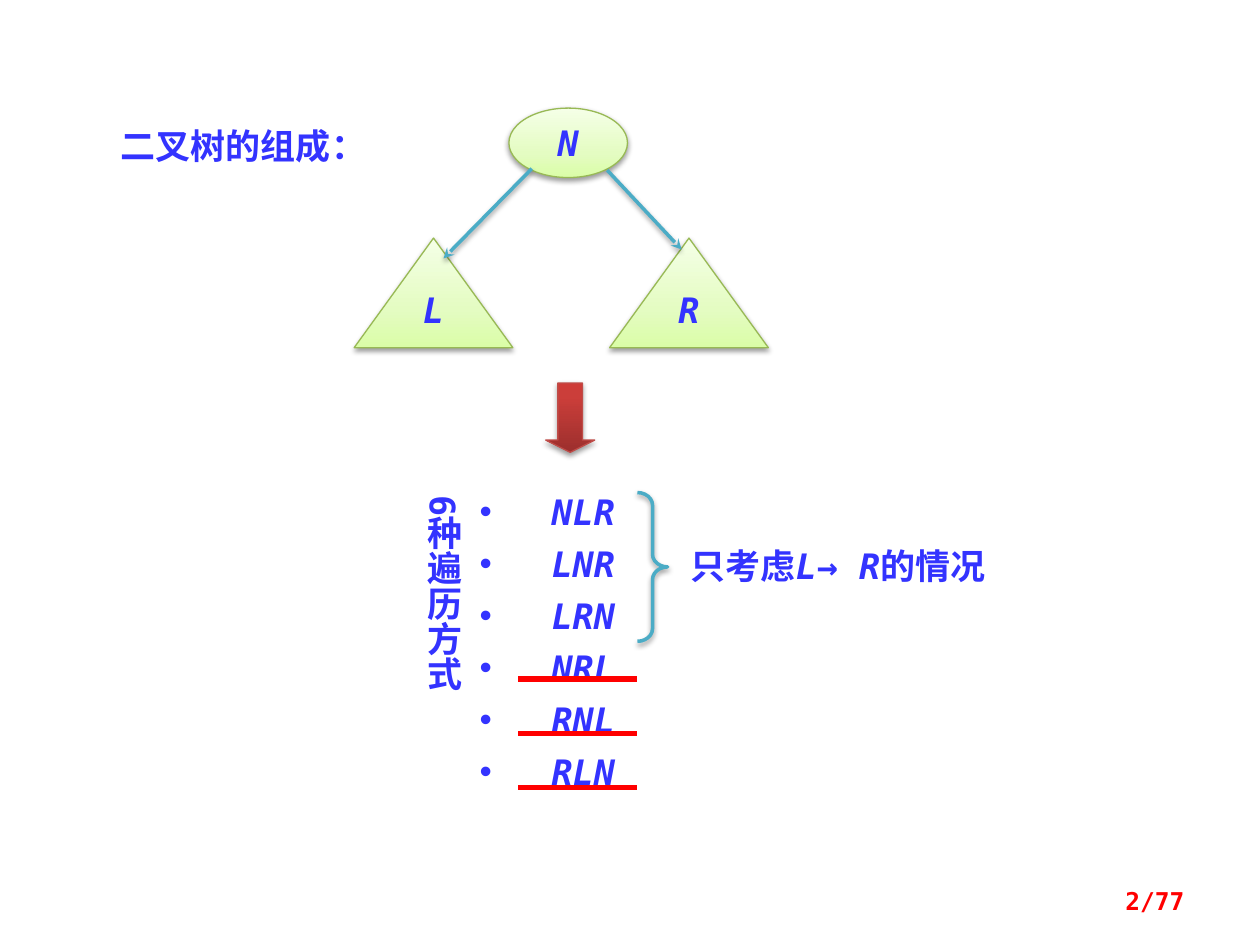
from dataclasses import dataclass

from lxml import etree
from pptx import Presentation
from pptx import util as u
from pptx.dml.color import RGBColor
from pptx.enum import shapes, text
from pptx.oxml.ns import qn

Kind = shapes.MSO_SHAPE
Side = text.PP_ALIGN
MONO = "DejaVu Sans Mono"
INK = {
    "blue": "3333FF", "red": "FF0000", "teal": "4BACC6",
    "leaf": "98B955", "rust": "BF4C48", "black": "000000",
}
# Gradient stops from bottom to top: percent and colour
FADE = {
    "leaf": ((0, "DAFDA7"), (35, "E4FCC2"), (100, "F5FFE7")),
    "rust": ((0, "9C2F2D"), (80, "CB3E3A"), (100, "CE3B37")),
}


@dataclass
class Form:
    kind: Kind
    box: tuple
    ink: str
    label: str = ""
    lead: float = 0
    adj: tuple = ()
    width: float = 0.75


@dataclass
class Line:
    start: tuple
    end: tuple
    ink: str
    width: float
    arrow: bool = False


FORMS = [
    Form(Kind.OVAL, (10.26, 2.18, 2.39, 1.4), "leaf", "N"),
    Form(Kind.ISOSCELES_TRIANGLE, (7.14, 4.8, 3.2, 2.21), "leaf", "L", 12),
    Form(Kind.ISOSCELES_TRIANGLE, (12.29, 4.8, 3.2, 2.21), "leaf", "R", 12),
    Form(Kind.DOWN_ARROW, (11, 7.72, 0.99, 1.4), "rust", adj=(0.5, 0.25)),
    Form(Kind.RIGHT_BRACE, (12.85, 9.93, 0.61, 3), "teal", adj=(0.417, 0.5), width=2),
]
EDGES = [
    Line((10.72, 3.4), (8.94, 5.21), "teal", 2, True),
    Line((12.24, 3.43), (13.74, 5.03), "teal", 2, True),
]
STRIKES = [
    Line((10.45, 13.69 + 1.09 * i), (12.84, 13.69 + 1.09 * i), "red", 3)
    for i in range(3)
]
ORDERS = ("NLR", "LNR", "LRN", "NRL", "RNL", "RLN")


def tint(ink: str) -> RGBColor:
    return RGBColor.from_string(INK[ink])


def node(root, tag: str, **attrs):
    return etree.SubElement(root, qn(tag), {k: str(v) for k, v in attrs.items()})


def shade(effects) -> None:
    """Add a soft shadow straight below to an effect list."""
    cast = node(effects, "a:outerShdw", blurRad=u.Pt(3.1), dist=u.Pt(1.6),
                dir=5400000, rotWithShape=0)
    color = node(cast, "a:srgbClr", val=INK["black"])
    node(color, "a:alpha", val=38000)


def blend(shape, stops) -> None:
    shape.fill.gradient()
    shape.fill.gradient_angle = 90
    group = shape._element.spPr.find(qn("a:gradFill")).find(qn("a:gsLst"))
    for old in list(group):
        group.remove(old)
    for spot, color in stops:
        node(node(group, "a:gs", pos=spot * 1000), "a:srgbClr", val=color)


def write(para, words: str, ink: str = "blue", **extra) -> None:
    run = para.add_run()
    run.text = words
    style = {"name": MONO, "size": u.Pt(20), "bold": True, "italic": False} | extra
    for key, value in style.items():
        setattr(run.font, key, value)
    run.font.color.rgb = tint(ink)


def place(shape, box: tuple) -> None:
    for key, value in zip(("left", "top", "width", "height"), box):
        setattr(shape, key, u.Cm(value))


def draw(slide, form: Form) -> None:
    shape = slide.shapes.add_shape(form.kind, *map(u.Cm, form.box))
    for i, value in enumerate(form.adj):
        shape.adjustments[i] = value
    if form.ink in FADE:
        blend(shape, FADE[form.ink])
    else:
        shape.fill.background()
    shape.line.color.rgb = tint(form.ink)
    shape.line.width = u.Pt(form.width)
    shape.shadow.inherit = False
    shade(shape._element.spPr.find(qn("a:effectLst")))
    if form.label:
        frame = shape.text_frame
        frame.word_wrap = False
        frame.vertical_anchor = text.MSO_ANCHOR.MIDDLE
        para = frame.paragraphs[0]
        para.alignment = Side.CENTER
        if form.lead:
            para.line_spacing = u.Pt(form.lead)
        write(para, form.label, italic=True)


def link(slide, line: Line) -> None:
    wire = slide.shapes.add_connector(
        shapes.MSO_CONNECTOR.STRAIGHT, *map(u.Cm, line.start + line.end))
    wire.line.color.rgb = tint(line.ink)
    wire.line.width = u.Pt(line.width)
    if line.arrow:
        node(wire.line._get_or_add_ln(), "a:tailEnd", type="stealth")
    effects = node(wire._element.spPr, "a:effectLst")
    if line.arrow:
        shade(effects)


def panel(slide, box: tuple):
    frame = slide.shapes.add_textbox(*map(u.Cm, box)).text_frame
    frame.word_wrap = True
    return frame


def head(slide) -> None:
    title = slide.shapes.title
    place(title, (2.18, 2.39, 7.39, 1.12))
    frame = title.text_frame
    frame.word_wrap = True
    frame.vertical_anchor = text.MSO_ANCHOR.TOP
    frame.paragraphs[0].alignment = Side.LEFT
    write(frame.paragraphs[0], "二叉树的组成：", name="Times New Roman")


def tally(slide) -> None:
    """List the six visiting orders as bullets."""
    frame = panel(slide, (9.42, 9.93, 4.39, 6.5))
    for i, order in enumerate(ORDERS):
        para = frame.add_paragraph() if i else frame.paragraphs[0]
        props = para._p.get_or_add_pPr()
        props.set("marL", str(u.Cm(1.45)))
        props.set("indent", str(-u.Cm(1.45)))
        node(props, "a:buFont", typeface="Arial")
        node(props, "a:buChar", char="•")
        para.line_spacing = 0.8
        para.space_before = u.Pt(10.5 if i else 0)
        write(para, order, italic=True)


def notes(slide) -> None:
    """Write the vertical caption, the remark and the page number."""
    frame = panel(slide, (8.13, 9.73, 1.37, 6.6))
    frame._txBody.bodyPr.set("vert", "eaVert")
    write(frame.paragraphs[0], "6种遍历方式")

    para = panel(slide, (13.67, 10.85, 8.15, 1.12)).paragraphs[0]
    for words in ("只考虑", "L", "→ ", "R", "的情况"):
        write(para, words, italic=words in ("L", "R"))

    frame = panel(slide, (18.21, 17.65, 5.92, 1.02))
    frame.vertical_anchor = text.MSO_ANCHOR.MIDDLE
    frame.paragraphs[0].alignment = Side.RIGHT
    write(frame.paragraphs[0], "2/77", "red", size=u.Pt(14))


def main() -> None:
    deck = Presentation()
    deck.slide_width, deck.slide_height = u.Cm(25.4), u.Cm(19.05)
    slide = deck.slides.add_slide(deck.slide_layouts[5])
    head(slide)
    for form in FORMS:
        draw(slide, form)
    tally(slide)
    for line in EDGES + STRIKES:
        link(slide, line)
    notes(slide)
    deck.save("out.pptx")


if __name__ == "__main__":
    main()
